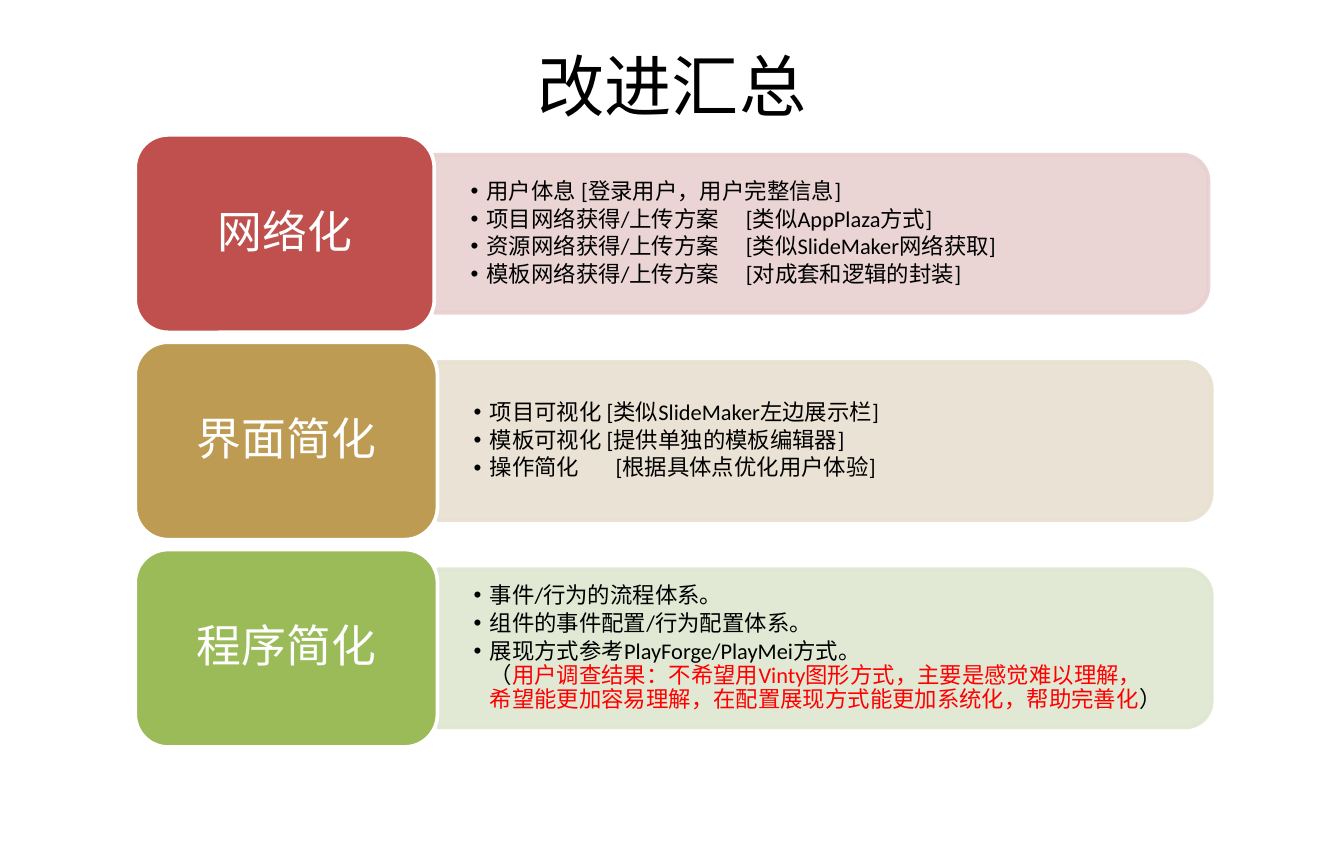
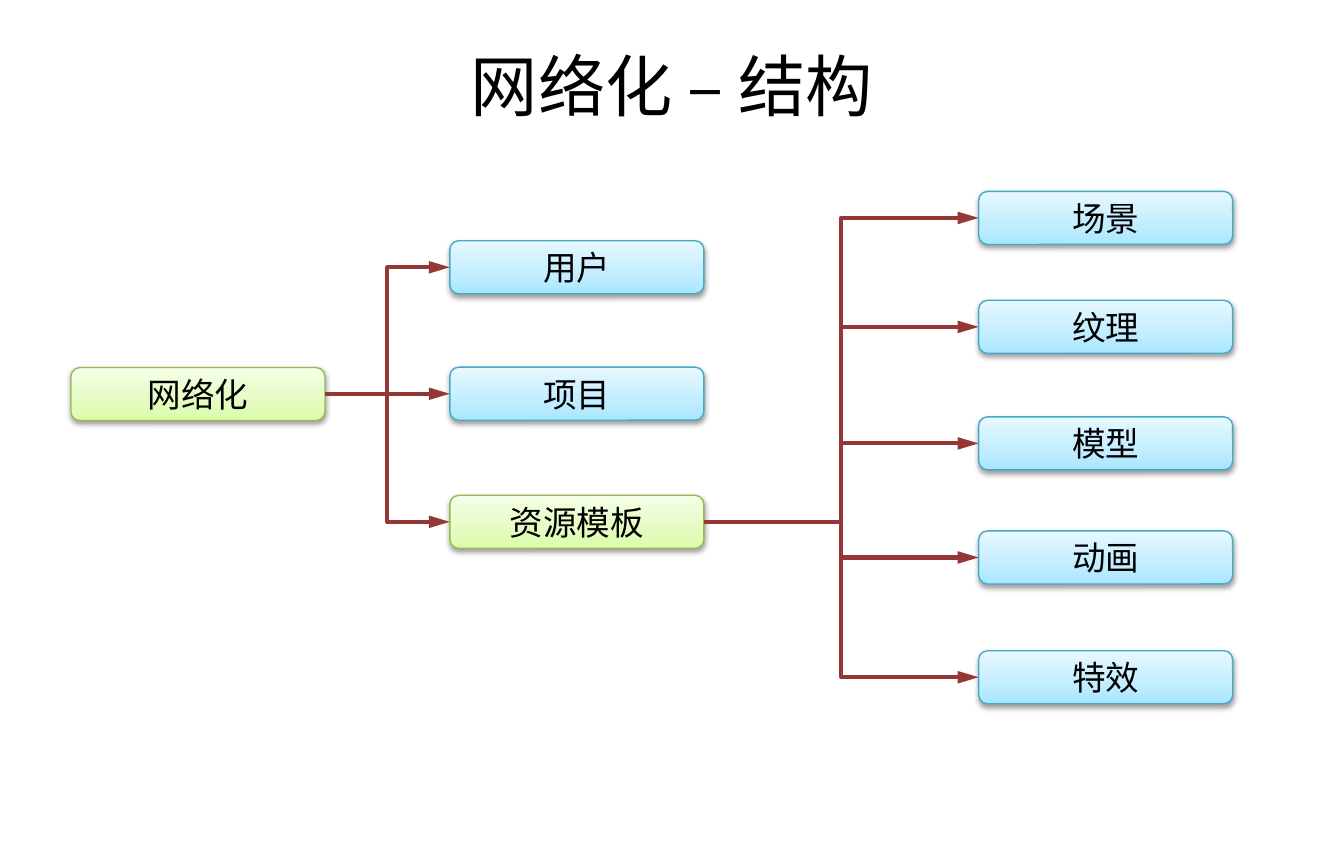
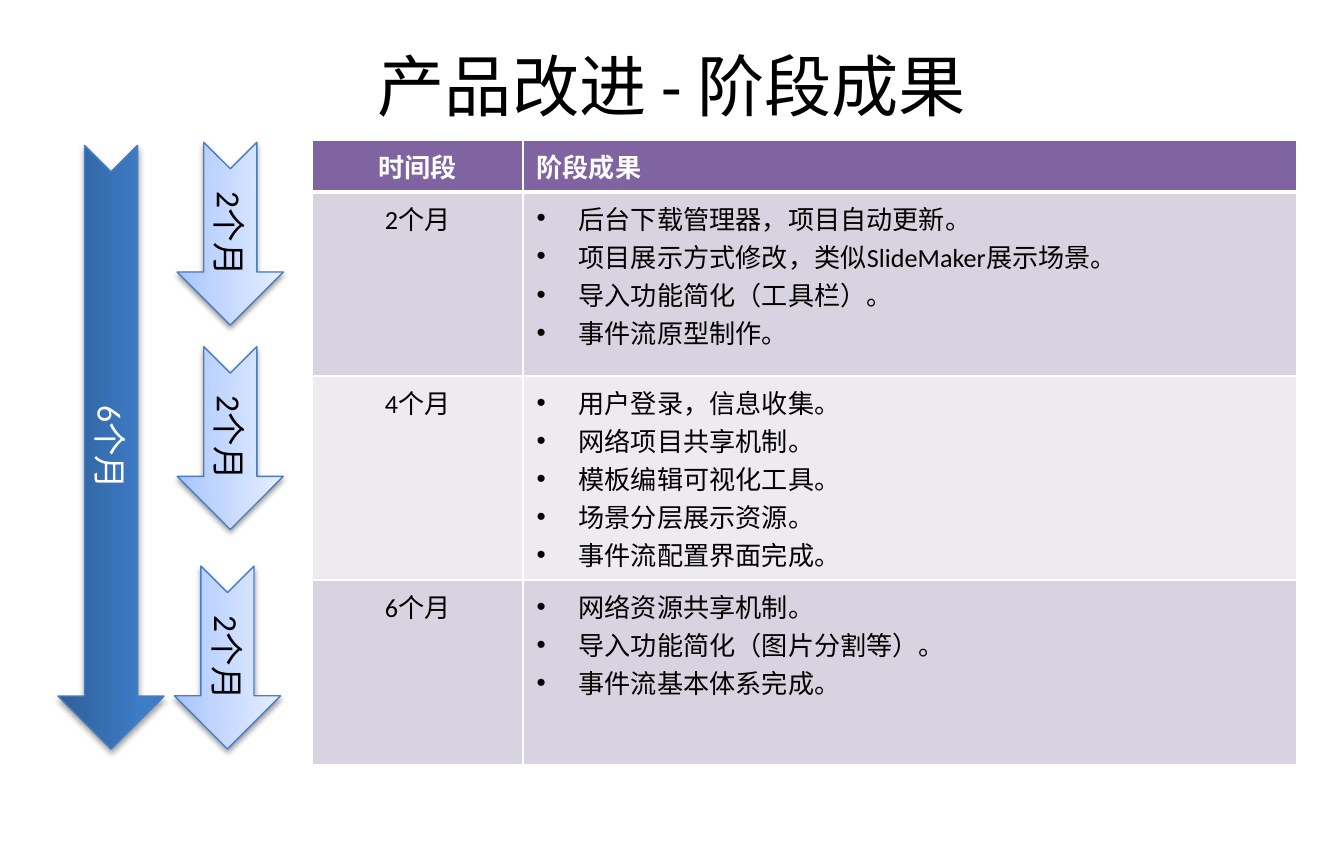
"""Build three slides on product improvements: summary, structure and milestones."""
from lxml import etree
from pptx import Presentation
from pptx.dml.color import RGBColor
from pptx.enum.shapes import MSO_CONNECTOR, MSO_SHAPE
from pptx.enum.text import MSO_ANCHOR, PP_ALIGN
from pptx.oxml.ns import qn
from pptx.util import Pt

ROUND, TAB = MSO_SHAPE.ROUNDED_RECTANGLE, MSO_SHAPE.ROUND_2_SAME_RECTANGLE
ARROW, ELBOW = MSO_SHAPE.NOTCHED_RIGHT_ARROW, MSO_CONNECTOR.ELBOW
LEFT, CENTER, MIDDLE = PP_ALIGN.LEFT, PP_ALIGN.CENTER, MSO_ANCHOR.MIDDLE

BLACK, WHITE, RED, BROWN = "000000", "FFFFFF", "FF0000", "953735"
GREEN = {"stops": [(0, "DAFDA7"), (35, "E4FCC2"), (100, "F5FFE7")], "line": "98B955"}
CYAN = {"stops": [(0, "A7E6FF"), (35, "C1EDFF"), (100, "E7F8FF")], "line": "46AAC5"}
PALE = {"stops": [(0, "A4C4FF"), (35, "BFD4FF"), (100, "E6EEFF")], "line": "4B7EBC"}
DEEP = {"stops": [(0, "2F5F99"), (80, "3D7CC7"), (100, "3A7CCB")], "line": "4B7EBC"}
HEADER, BAND, LIGHT_BAND = "8064A2", "D8D3E0", "EDEAF0"


def rgb(value):
    """Turn a hex string into a colour."""
    return RGBColor.from_string(value)


def put(obj, values):
    """Set attributes of an object from a dict."""
    for name, value in values.items():
        setattr(obj, name, value)


def add(parent, tag, **attrs):
    """Append an XML child with attributes."""
    return etree.SubElement(parent, qn(tag), {k: str(v) for k, v in attrs.items()})


class Deck:
    """Hold the shared style and the current slide."""

    font = "Calibri"

    def __init__(self, prs):
        """Keep the presentation to fill."""
        self.prs = prs

    def slide(self, title):
        """Add a slide with its title."""
        self.s = self.prs.slides.add_slide(self.prs.slide_layouts[6])
        self.textbox(36, 18.4, 648, 54, [title], size=36, align=CENTER)

    def text(self, tf, paragraphs, size, color=BLACK, align=CENTER, bold=False,
             spacing=None, bullet=0, tab=0):
        """Fill a text frame; a paragraph is a string or (text, colour) pairs."""
        for i, parts in enumerate(paragraphs):
            p = tf.add_paragraph() if i else tf.paragraphs[0]
            put(p, {"alignment": align, **(spacing or {})})
            if bullet:
                self.bullet(p, bullet, tab)
            for words, ink in [(parts, color)] if isinstance(parts, str) else parts:
                for n, line in enumerate(words.split("\n")):
                    if n:
                        p.add_line_break()
                        add(p._p[-1], "a:rPr", sz=size * 100)
                    r = p.add_run()
                    r.text = line
                    put(r.font, {"name": self.font, "size": Pt(size), "bold": bold})
                    r.font.color.rgb = rgb(ink)

    def bullet(self, p, indent, tab):
        """Give a paragraph a hanging bullet and an optional tab stop."""
        pPr = p._p.get_or_add_pPr()
        pPr.set("marL", str(Pt(indent)))
        pPr.set("indent", str(-Pt(indent)))
        add(pPr, "a:buFont", typeface="Arial")
        add(pPr, "a:buChar", char="•")
        if tab:
            add(add(pPr, "a:tabLst"), "a:tab", pos=Pt(tab), algn="l")

    def textbox(self, x, y, w, h, paragraphs, margins=(7.2, 3.6), **style):
        """Add a wrapped, vertically centred text box."""
        tf = self.s.shapes.add_textbox(Pt(x), Pt(y), Pt(w), Pt(h)).text_frame
        side, edge = map(Pt, margins)
        put(tf, {"word_wrap": True, "vertical_anchor": MIDDLE, "margin_left": side,
                 "margin_right": side, "margin_top": edge, "margin_bottom": edge})
        self.text(tf, paragraphs, **style)

    def shape(self, kind, x, y, w, h, line, weight, turned=False):
        """Add an outlined shape whose visible box is given, turned or not."""
        if turned:
            x, y, w, h = x + (w - h) / 2, y + (h - w) / 2, h, w
        sp = self.s.shapes.add_shape(kind, Pt(x), Pt(y), Pt(w), Pt(h))
        sp.rotation = 90 if turned else 0
        sp.shadow.inherit = False
        sp.line.color.rgb = rgb(line)
        sp.line.width = Pt(weight)
        return sp

    def solid(self, kind, x, y, w, h, fill, line, alpha=100, turned=False):
        """Add a plain filled shape."""
        sp = self.shape(kind, x, y, w, h, line, 2, turned)
        sp.fill.solid()
        sp.fill.fore_color.rgb = rgb(fill)
        if alpha < 100:
            for clr in list(sp._element.spPr.iter(qn("a:srgbClr"))):
                add(clr, "a:alpha", val=alpha * 1000)
        return sp

    def glossy(self, kind, x, y, w, h, look, label, color=BLACK, turned=False):
        """Add a labelled shape with a gradient and a soft shadow."""
        sp = self.shape(kind, x, y, w, h, look["line"], 0.75, turned)
        sp.fill.gradient()
        sp.fill.gradient_angle = 90
        spPr = sp._element.spPr
        gs_lst = spPr.find(".//" + qn("a:gsLst"))
        for gs in list(gs_lst):
            gs_lst.remove(gs)
        for pos, value in look["stops"]:
            add(add(gs_lst, "a:gs", pos=pos * 1000), "a:srgbClr", val=value)
        shadow = add(spPr.find(qn("a:effectLst")), "a:outerShdw", blurRad=Pt(3.1),
                     dist=Pt(1.6), dir=5400000, rotWithShape=0)
        add(add(shadow, "a:srgbClr", val=BLACK), "a:alpha", val=38000)
        self.text(sp.text_frame, [label], size=18, color=color)
        return sp

    def link(self, parent, child):
        """Join two boxes with an elbow whose arrowhead is at the child."""
        cx = self.s.shapes.add_connector(ELBOW, 0, 0, 0, 0)
        cx.begin_connect(child, 1)
        cx.end_connect(parent, 3)
        cx.line.color.rgb = rgb(BROWN)
        cx.line.width = Pt(2.25)
        add(cx.line._get_or_add_ln(), "a:headEnd", type="triangle", len="lg")
        add(cx._element.spPr, "a:effectLst")

    def borders(self, cell, **weights):
        """Draw white cell borders; sides are 1 point unless given."""
        tcPr = cell._tc.get_or_add_tcPr()
        for i, side in enumerate("LRTB"):
            ln = etree.Element(qn("a:ln" + side), w=str(Pt(weights.get(side, 1))))
            add(add(ln, "a:solidFill"), "a:srgbClr", val=WHITE)
            tcPr.insert(i, ln)

    def table(self, x, y, widths, heights, header, rows):
        """Add a banded table of periods and bulleted results."""
        tbl = self.s.shapes.add_table(len(heights), len(widths), Pt(x), Pt(y),
                                      Pt(sum(widths)), Pt(sum(heights))).table
        for col, width in zip(tbl.columns, widths):
            col.width = Pt(width)
        for row, height in zip(tbl.rows, heights):
            row.height = Pt(height)
        for i, (period, results) in enumerate([header] + rows):
            fill = (BAND if i % 2 else LIGHT_BAND) if i else HEADER
            style = {"size": 14, "color": BLACK if i else WHITE, "bold": not i}
            for cell in tbl.rows[i].cells:
                cell.fill.solid()
                cell.fill.fore_color.rgb = rgb(fill)
                self.borders(cell, **({"T": 3} if i == 1 else {} if i else {"B": 3}))
            self.text(tbl.cell(i, 0).text_frame, [period], **style)
            self.text(tbl.cell(i, 1).text_frame, results, align=LEFT,
                      bullet=22.5 if i else 0, **style)


def summary(d):
    """Show the three groups of improvements."""
    d.slide("改进汇总")
    cards = [
        ("网络化", "C0504D", "E8D0D0", 160.3, 147.5, [
            "用户体息 [登录用户，用户完整信息]",
            "项目网络获得/上传方案\t[类似AppPlaza方式]",
            "资源网络获得/上传方案\t[类似SlideMaker网络获取]",
            "模板网络获得/上传方案\t[对成套和逻辑的封装]"]),
        ("界面简化", "BD9B53", "E8E1D1", 162, 76, [
            "项目可视化 [类似SlideMaker左边展示栏]",
            "模板可视化 [提供单独的模板编辑器]",
            "操作简化\t[根据具体点优化用户体验]"]),
        ("程序简化", "9BBB59", "DEE7D1", 162, 0, [
            "事件/行为的流程体系。",
            "组件的事件配置/行为配置体系。",
            [("展现方式参考PlayForge/PlayMei方式。\n（", BLACK),
             ("用户调查结果：不希望用Vinty图形方式，主要是感觉难以理解，\n"
              "希望能更加容易理解，在配置展现方式能更加系统化，帮助完善化", RED),
             ("）", BLACK)]]),
    ]
    left, top, pitch = 72.4, 72.2, 111
    for i, (name, fill, pale, width, tab, points) in enumerate(cards):
        y, x = top + i * pitch, left + width
        d.solid(TAB, x, y + 10.6, 414.7, 84.6, pale, pale, alpha=90, turned=True)
        d.textbox(x, y + 14.8, 410.4, 76.3, points, margins=(19.4, 10), size=12,
                  align=LEFT, bullet=8.6, tab=tab,
                  spacing={"line_spacing": 0.9, "space_after": Pt(1.8)})
        sp = d.solid(ROUND, left, y, width, 105.8, fill, WHITE)
        d.text(sp.text_frame, [name], size=24, color=WHITE,
               spacing={"line_spacing": 0.9})


def structure(d):
    """Show the tree of networked parts."""
    d.slide("网络化 – 结构")

    def box(x, y, look, label):
        """Add one node of the tree."""
        return d.glossy(ROUND, x, y, 136.1, 28.4, look, label)

    root = box(38, 196.8, GREEN, "网络化")
    branches = [box(241, y, look, label) for y, look, label in [
        (128.9, CYAN, "用户"), (196.6, CYAN, "项目"), (265.2, GREEN, "资源模板")]]
    leaves = [box(524.3, y, CYAN, label) for y, label in [
        (102.5, "场景"), (160.8, "纹理"), (223.2, "模型"), (284.3, "动画"),
        (348.4, "特效")]]
    for parent, children in [(root, branches), (branches[-1], leaves)]:
        for child in children:
            d.link(parent, child)


def milestones(d):
    """Show the results expected for each period."""
    d.slide("产品改进 - 阶段成果")
    d.table(167.3, 75.2, [113, 414.3], [27.6, 98.6, 109.3, 98.6],
            ("时间段", ["阶段成果"]), [
        ("2个月", ["后台下载管理器，项目自动更新。",
                 "项目展示方式修改，类似SlideMaker展示场景。",
                 "导入功能简化（工具栏）。", "事件流原型制作。"]),
        ("4个月", ["用户登录，信息收集。", "网络项目共享机制。", "模板编辑可视化工具。",
                 "场景分层展示资源。", "事件流配置界面完成。"]),
        ("6个月", ["网络资源共享机制。", "导入功能简化（图片分割等）。",
                 "事件流基本体系完成。"])])
    d.glossy(ARROW, 31, 77.8, 56.9, 323.3, DEEP, "6个月", WHITE, turned=True)
    for x, y in [(94.9, 76.2), (94.9, 185.6), (93.4, 303.1)]:
        d.glossy(ARROW, x, y, 56.9, 97.9, PALE, "2个月", turned=True)


def main():
    """Build and save the deck."""
    prs = Presentation()
    prs.slide_width = Pt(720)
    prs.slide_height = Pt(461.52)
    d = Deck(prs)
    for build in (summary, structure, milestones):
        build(d)
    prs.save("out.pptx")


if __name__ == "__main__":
    main()
